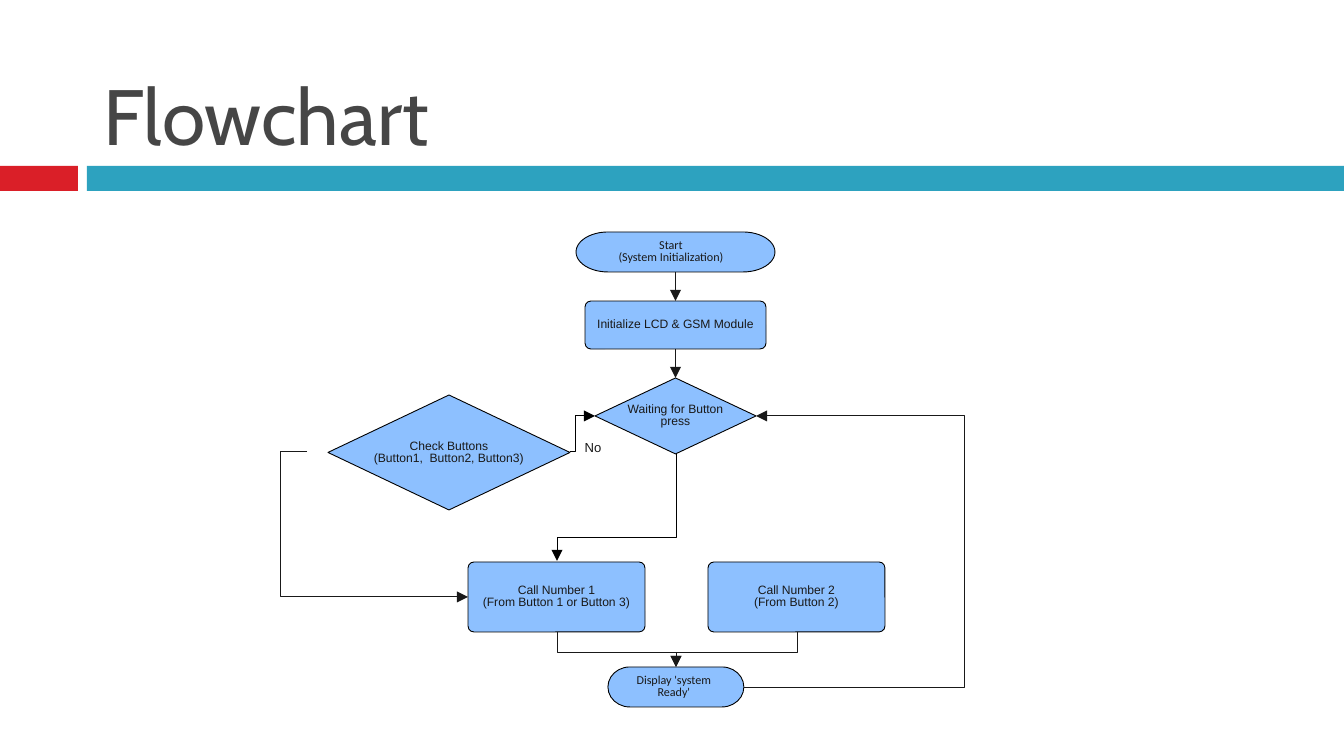
from dataclasses import dataclass

from lxml.etree import SubElement
from pptx import Presentation
from pptx.dml.color import RGBColor
from pptx.enum.shapes import MSO_CONNECTOR, MSO_SHAPE
from pptx.enum.text import MSO_ANCHOR, PP_ALIGN
from pptx.oxml.ns import qn
from pptx.util import Emu, Pt

SCALE = 914400 / 134.4
PILL = MSO_SHAPE.FLOWCHART_TERMINATOR
CARD = MSO_SHAPE.ROUNDED_RECTANGLE
GEM = MSO_SHAPE.DIAMOND


@dataclass(frozen=True)
class Theme:
    """Colours, fonts and sizes of the slide."""
    red: str = "DA1F28"
    teal: str = "2DA2BF"
    blue: str = "8DC0FF"
    black: str = "000000"
    ink: str = "191919"
    gray: str = "464646"
    head: str = "Cabin"
    body: str = "Arial"
    round: str = "Calibri"
    title: float = 42
    label: float = 6.5
    note: float = 7
    line: float = 0.47


def px(*sizes):
    """Turn pixel lengths into EMU."""
    return [Emu(round(size * SCALE)) for size in sizes]


def apply(item, values):
    """Set each attribute in a dict of values."""
    for name, value in values.items():
        setattr(item, name, value)


class Chart:
    """Draw flowchart parts on one slide in one style."""

    def __init__(self, slide, theme):
        """Keep the slide and its theme."""
        self.slide, self.theme = slide, theme

    def label(self, shape, text, font, size, color, pads=(4, 4),
              align=PP_ALIGN.CENTER, anchor=MSO_ANCHOR.MIDDLE, gap=0.83, wrap=False):
        """Fill a shape with styled text."""
        frame = shape.text_frame
        frame.text = text
        left, right, edge = px(*pads, 4)
        apply(frame, {"word_wrap": wrap, "vertical_anchor": anchor,
                      "margin_left": left, "margin_right": right,
                      "margin_top": edge, "margin_bottom": edge})
        for para in frame.paragraphs:
            apply(para, {"alignment": align, "line_spacing": gap})
            for run in para.runs:
                apply(run.font, {"name": font, "size": Pt(size), "bold": False})
                run.font.color.rgb = RGBColor.from_string(color)

    def paint(self, shape, color):
        """Give a shape a flat fill with no shadow."""
        shape.shadow.inherit = False
        shape.fill.solid()
        shape.fill.fore_color.rgb = RGBColor.from_string(color)

    def stroke(self, shape, color):
        """Give a shape a thin line."""
        shape.line.color.rgb = RGBColor.from_string(color)
        shape.line.width = Pt(self.theme.line)

    def title(self, text, *place):
        """Place and style the title."""
        shape = self.slide.shapes.title
        apply(shape, dict(zip(("left", "top", "width", "height"), px(*place))))
        self.label(shape, text, self.theme.head, self.theme.title, self.theme.gray,
                   (13, 13), PP_ALIGN.LEFT, MSO_ANCHOR.BOTTOM, 1.0, True)

    def band(self, color, *place):
        """Add a plain coloured bar."""
        shape = self.slide.shapes.add_shape(MSO_SHAPE.RECTANGLE, *px(*place))
        self.paint(shape, color)
        shape.line.fill.background()

    def node(self, kind, text, *place, pads=(4, 4)):
        """Add a labelled flowchart step."""
        shape = self.slide.shapes.add_shape(kind, *px(*place))
        if kind == CARD:
            shape.adjustments[0] = 6 / min(place[2:])
        self.paint(shape, self.theme.blue)
        self.stroke(shape, self.theme.black)
        font = self.theme.round if kind == PILL else self.theme.body
        self.label(shape, text, font, self.theme.label, self.theme.ink, pads)
        return shape

    def note(self, text, *place):
        """Add a free label."""
        shape = self.slide.shapes.add_textbox(*px(*place))
        self.label(shape, text, self.theme.body, self.theme.note, self.theme.ink)

    def tip(self, shape):
        """Put an arrowhead at the end of a line."""
        line = shape._element.spPr.find(qn("a:ln"))
        SubElement(line, qn("a:tailEnd"), type="triangle")

    def link(self, start, end):
        """Join the bottom of one step to the top of the next."""
        line = self.slide.shapes.add_connector(MSO_CONNECTOR.STRAIGHT, 0, 0, 0, 0)
        line.begin_connect(start, 2)
        line.end_connect(end, 0)
        self.stroke(line, self.theme.ink)
        self.tip(line)
        SubElement(line._element.spPr, qn("a:effectLst"))

    def route(self, color, start, *bends):
        """Add a bent arrow through the given points."""
        pen = self.slide.shapes.build_freeform(*start, scale=SCALE)
        pen.add_line_segments(bends, close=False)
        shape = pen.convert_to_shape()
        shape.shadow.inherit = False
        shape.fill.background()
        self.stroke(shape, color)
        self.tip(shape)


def main():
    """Build and save the flowchart slide."""
    deck = Presentation()
    deck.slide_width, deck.slide_height = px(1344, 756)
    theme = Theme()
    chart = Chart(deck.slides.add_slide(deck.slide_layouts[5]), theme)

    chart.band(theme.red, 0, 166, 78, 25)
    chart.band(theme.teal, 87, 166, 1257, 25)
    chart.title("Flowchart", 90, 17, 1199, 148)

    start = chart.node(PILL, "Start\n(System Initialization)", 576, 232, 199, 40, pads=(4, 13))
    setup = chart.node(CARD, "Initialize LCD & GSM Module", 585, 301, 181, 48)
    wait = chart.node(GEM, "Waiting for Button\vpress", 595, 378, 161, 76)
    chart.node(GEM, "Check Buttons\n(Button1,  Button2, Button3)", 328, 395, 242, 115)
    calls = ("Call Number 1\n(From Button 1 or Button 3)", "Call Number 2\n(From Button 2)")
    for index, text in enumerate(calls):
        chart.node(CARD, text, 468 + 240 * index, 562, 177, 70)
    chart.node(PILL, "Display 'system\vReady'", 608, 667, 136, 40, pads=(4, 8))
    chart.note("No", 577, 435, 32, 27)

    chart.link(start, setup)
    chart.link(setup, wait)
    chart.route(theme.black, (570, 452), (576, 452), (576, 416), (595, 416))
    chart.route(theme.black, (676, 454), (676, 538), (557, 538), (557, 561))
    for side in (557, 797):
        chart.route(theme.ink, (side, 632), (side, 653), (676, 653), (676, 667))
    chart.route(theme.ink, (307, 452), (280, 452), (280, 597), (468, 597))
    chart.route(theme.ink, (744, 687), (964, 687), (964, 416), (756, 416))

    deck.save("out.pptx")


if __name__ == "__main__":
    main()
